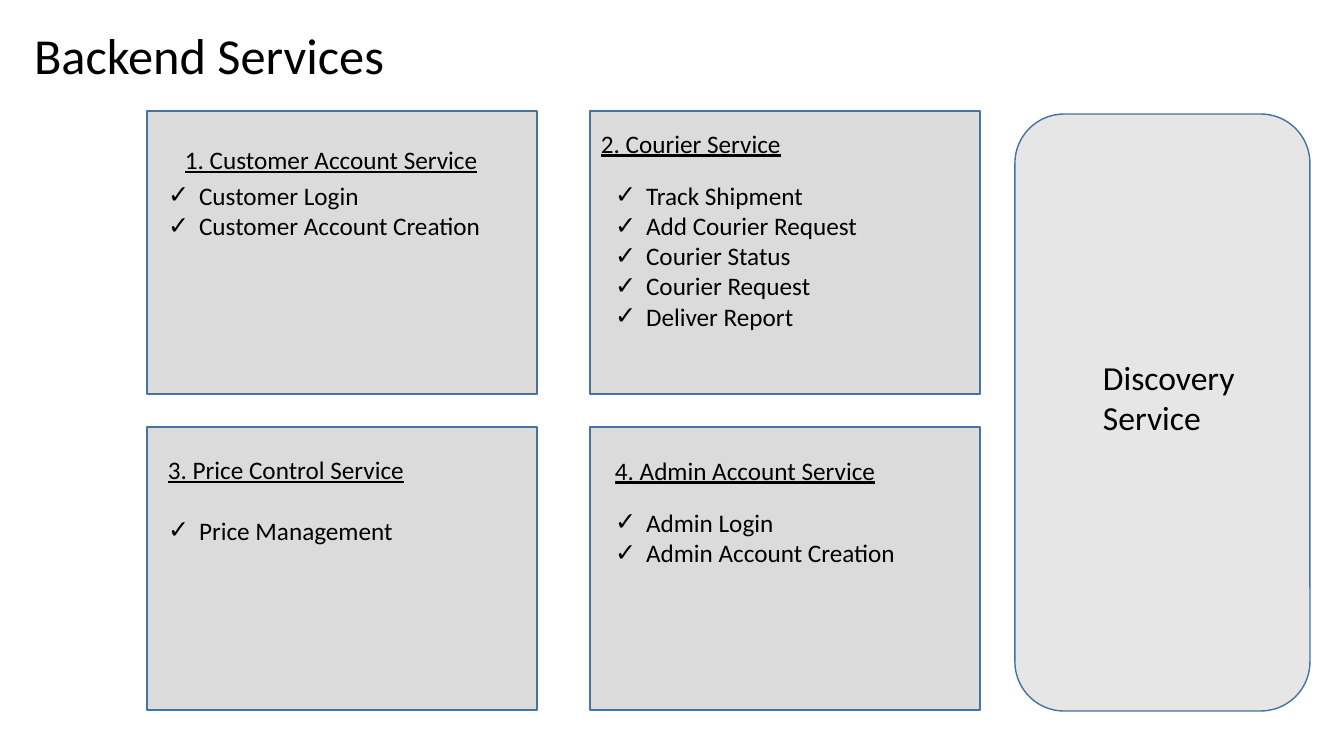
from pptx import Presentation
from pptx.dml.color import RGBColor
from pptx.enum.shapes import MSO_SHAPE
from pptx.enum.text import MSO_ANCHOR, MSO_AUTO_SIZE, PP_ALIGN
from pptx.oxml.ns import qn
from pptx.util import Emu, Pt
from lxml import etree

THEME = {
    "font": "Calibri",
    "text": RGBColor(0x00, 0x00, 0x00),
    "box": RGBColor(0xDB, 0xDB, 0xDB),
    "panel": RGBColor(0xE7, 0xE6, 0xE6),
    "line": RGBColor(0x43, 0x73, 0x9E),
    "title": Pt(36), "large": Pt(24), "body": Pt(18),
}
PX = 914400 / 100.8


def place(sp, x, y, w, h):
    sp.left, sp.top, sp.width, sp.height = (Emu(round(v * PX)) for v in (x, y, w, h))


def write(sp, lines, size, underline=False, bullet=None):
    tf = sp.text_frame
    tf.word_wrap = True
    tf.auto_size = MSO_AUTO_SIZE.NONE
    tf.vertical_anchor = MSO_ANCHOR.TOP
    for i, line in enumerate(lines):
        p = tf.add_paragraph() if i else tf.paragraphs[0]
        p.alignment = PP_ALIGN.LEFT
        p.space_before = Pt(0)
        r = p.add_run()
        r.text = line
        r.font.name, r.font.size = THEME["font"], size
        r.font.color.rgb = THEME["text"]
        r.font.bold, r.font.underline = False, underline
        if bullet:
            pPr = p._p.get_or_add_pPr()
            indent = round(31 * PX)
            pPr.set("marL", str(indent))
            pPr.set("indent", str(-indent))
            etree.SubElement(pPr, qn("a:buChar")).set("char", bullet)


prs = Presentation()
prs.slide_width, prs.slide_height = Emu(round(1344 * PX)), Emu(round(756 * PX))

# The Comparison layout has a title and four bodies
s = prs.slides.add_slide(prs.slide_layouts[4])
title, *bodies = s.placeholders

# Title
place(title, 24, 19, 636, 72)
write(title, ["Backend Services"], THEME["title"])

# Grey boxes in a 2 x 2 grid, and the discovery panel
frames = [(MSO_SHAPE.RECTANGLE, 147 + col * 443, 111 + row * 316, 390, 283, "box")
          for row in range(2) for col in range(2)]
frames.append((MSO_SHAPE.ROUNDED_RECTANGLE, 1015, 114, 295, 597, "panel"))
for kind, x, y, w, h, fill in frames:
    sp = s.shapes.add_shape(kind, 0, 0, 0, 0)
    place(sp, x, y, w, h)
    sp.shadow.inherit = False
    sp.fill.solid()
    sp.fill.fore_color.rgb = THEME[fill]
    sp.line.color.rgb = THEME["line"]
    sp.line.width = Pt(1)

# Services: heading, its x and y, list x and y, items
services = [
    ("1. Customer Account Service", 175, 139, 158, 175,
     ["Customer Login", "Customer Account Creation"]),
    ("2. Courier Service", 591, 123, 605, 175,
     ["Track Shipment", "Add Courier Request", "Courier Status",
      "Courier Request", "Deliver Report"]),
    ("3. Price Control Service", 158, 449, 158, 510, ["Price Management"]),
    ("4. Admin Account Service", 605, 450, 605, 502,
     ["Admin Login", "Admin Account Creation"]),
]
for body, (heading, hx, hy, x, y, items) in zip(bodies, services):
    tb = s.shapes.add_textbox(0, 0, 0, 0)
    place(tb, hx, hy, 362, 40)
    write(tb, [heading], THEME["body"], underline=True)
    place(body, x, y, 362, 10 + 31 * len(items))
    write(body, items, THEME["body"], bullet="✓")
    tb.element.addnext(body.element)  # bring the list in front of its box

# Discovery label
tb = s.shapes.add_textbox(0, 0, 0, 0)
place(tb, 1093, 352, 218, 92)
write(tb, ["Discovery Service"], THEME["large"])

prs.save("out.pptx")
